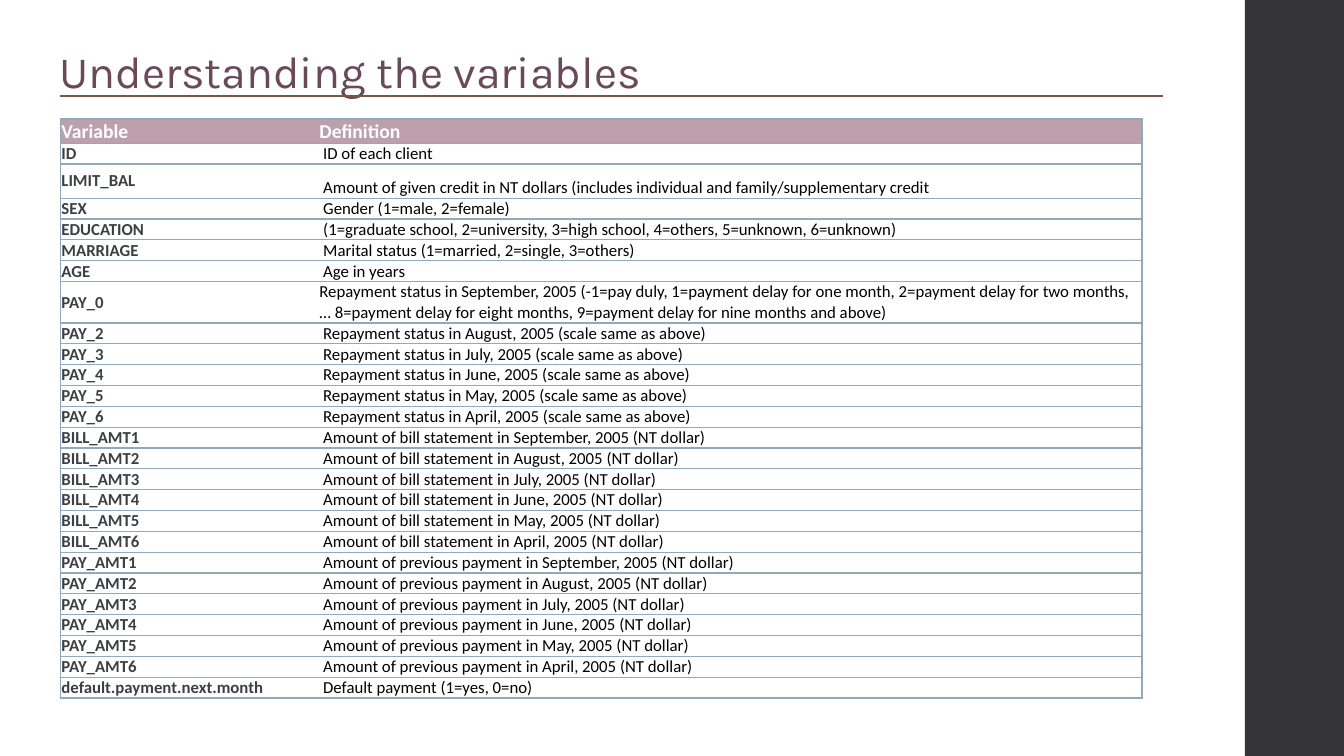
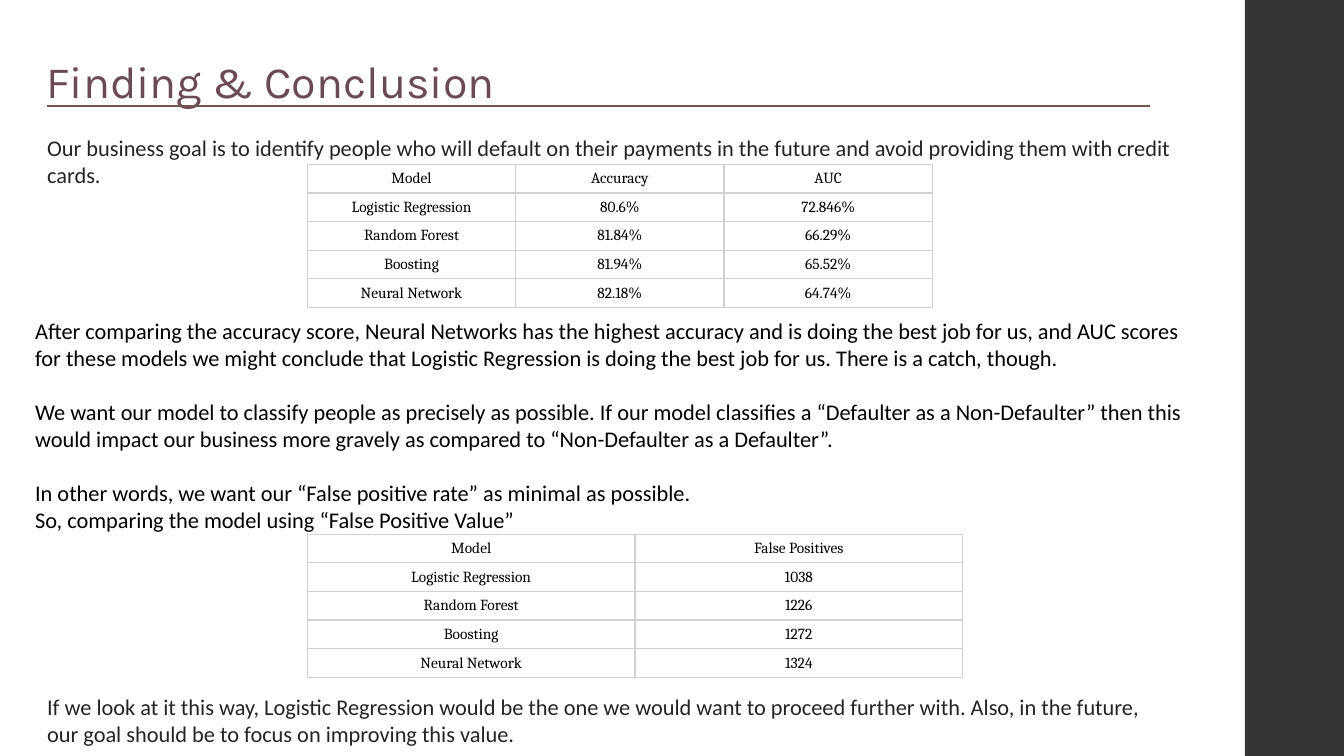
import pptx
import pptx.dml.color
import pptx.enum.shapes
import pptx.enum.text
import pptx.oxml
import pptx.oxml.ns
import pptx.util

Pt = pptx.util.Pt
ANCHOR = pptx.enum.text.MSO_ANCHOR
ALIGN = pptx.enum.text.PP_ALIGN

WHITE, BLACK = "FFFFFF", "000000"
BAND, TITLE, RULE = "353537", "6A4A57", "74564A"
HEADER_FILL, VARIABLE_BORDER, VARIABLE_NAME = "BCA0AB", "92A9B9", "3C4043"
SCORE_BORDER, BODY = "D1D1D1", "242424"
PLAIN_TABLE_STYLE = "{2D5ABB26-0587-4C30-8999-92F81FD0307C}"

MONTHS = ["September", "August", "July", "June", "May", "April"]
PAY_SCALE = (
    "Repayment status in September, 2005 (-1=pay duly, 1=payment delay for one month, "
    "2=payment delay for two months, … 8=payment delay for eight months, "
    "9=payment delay for nine months and above)"
)
VARIABLES = [
    ("Variable", "Definition"),
    ("ID", "ID of each client"),
    ("LIMIT_BAL", "Amount of given credit in NT dollars (includes individual and family/supplementary credit"),
    ("SEX", "Gender (1=male, 2=female)"),
    ("EDUCATION", "(1=graduate school, 2=university, 3=high school, 4=others, 5=unknown, 6=unknown)"),
    ("MARRIAGE", "Marital status (1=married, 2=single, 3=others)"),
    ("AGE", "Age in years"),
    ("PAY_0", PAY_SCALE),
    *[(f"PAY_{number}", f"Repayment status in {month}, 2005 (scale same as above)")
      for number, month in enumerate(MONTHS[1:], 2)],
    *[(f"BILL_AMT{number}", f"Amount of bill statement in {month}, 2005 (NT dollar)")
      for number, month in enumerate(MONTHS, 1)],
    *[(f"PAY_AMT{number}", f"Amount of previous payment in {month}, 2005 (NT dollar)")
      for number, month in enumerate(MONTHS, 1)],
    ("default.payment.next.month", "Default payment (1=yes, 0=no)"),
]
VARIABLE_ROW = 14.9
SPECIAL_ROWS = {"Variable": 16.8, "LIMIT_BAL": 24.4, "PAY_0": 29.6}

SCORES = [
    ("Model", "Accuracy", "AUC"),
    ("Logistic Regression", "80.6%", "72.846%"),
    ("Random Forest", "81.84%", "66.29%"),
    ("Boosting", "81.94%", "65.52%"),
    ("Neural Network", "82.18%", "64.74%"),
]
FALSE_POSITIVES = [
    ("Model", "False Positives"),
    ("Logistic Regression", "1038"),
    ("Random Forest", "1226"),
    ("Boosting", "1272"),
    ("Neural Network", "1324"),
]
GOAL = [
    ("Our business goal is to identify people who will default on their payments "
     "in the future and avoid providing them with credit cards.", 0),
]
COMPARISON = [
    ("After comparing the accuracy score, Neural Networks has the highest accuracy and is doing "
     "the best job for us, and AUC scores for these models we might conclude that Logistic "
     "Regression is doing the best job for us. There is a catch, though.", 19.5),
    ("We want our model to classify people as precisely as possible. If our model classifies a "
     "“Defaulter as a Non-Defaulter” then this would impact our business more gravely as "
     "compared to “Non-Defaulter as a Defaulter”.", 19.5),
    ("In other words, we want our “False positive rate” as minimal as possible.", 0),
    ("So, comparing the model using “False Positive Value”", 0),
]
CONCLUSION = [
    ("If we look at it this way, Logistic Regression would be the one we would want to proceed "
     "further with. Also, in the future, our goal should be to focus on improving this value.", 0),
]


def color(value):
    return pptx.dml.color.RGBColor.from_string(value)


def fill(target, value):
    target.fill.solid()
    target.fill.fore_color.rgb = color(value)


def style(para, size, font, value, bold=False):
    for span in para.runs:
        span.font.size = Pt(size)
        span.font.name = font
        span.font.color.rgb = color(value)
        span.font.bold = bold


def add_band(page):
    band = page.shapes.add_shape(
        pptx.enum.shapes.MSO_SHAPE.RECTANGLE, Pt(889.2), 0, Pt(70.8), Pt(540))
    fill(band, BAND)
    band.line.fill.background()
    band.shadow.inherit = False
    page.slide_layout.shapes.element.append(band.element)


def add_heading(page, text, left, rule_top):
    title = page.shapes.title
    title.left, title.top = Pt(left - 8), Pt(rule_top - 41)
    title.width, title.height = Pt(600), Pt(46)
    title.text_frame.text = text
    title.text_frame.word_wrap = True
    title.text_frame.auto_size = pptx.enum.text.MSO_AUTO_SIZE.NONE
    title.text_frame.vertical_anchor = ANCHOR.TOP
    para = title.text_frame.paragraphs[0]
    para.alignment = ALIGN.LEFT
    style(para, 32, "Karla", TITLE)

    rule = page.shapes.add_connector(
        pptx.enum.shapes.MSO_CONNECTOR.STRAIGHT,
        Pt(left), Pt(rule_top), Pt(left + 787.7), Pt(rule_top))
    rule.line.color.rgb = color(RULE)
    rule.line.width = Pt(1.5)
    properties = rule.element.find(pptx.oxml.ns.qn("p:spPr"))
    properties.append(pptx.oxml.parse_xml(f'<a:effectLst {pptx.oxml.ns.nsdecls("a")}/>'))


def add_text(page, paragraphs, left, top, width, height, value):
    box = page.shapes.add_textbox(Pt(left), Pt(top), Pt(width), Pt(height))
    frame = box.text_frame
    frame.word_wrap = True
    for index, (text, gap) in enumerate(paragraphs):
        para = frame.add_paragraph() if index else frame.paragraphs[0]
        para.text = text
        para.space_after = Pt(gap)
        style(para, 16, "Calibri", value)


def set_borders(cell, sides, value):
    properties = cell._tc.get_or_add_tcPr()
    for position, side in enumerate(sides):
        properties.insert(position, pptx.oxml.parse_xml(
            f'<a:ln{side} {pptx.oxml.ns.nsdecls("a")} w="{Pt(1)}"><a:solidFill>'
            f'<a:srgbClr val="{value}"/></a:solidFill></a:ln{side}>'))


def add_grid(page, rows, left, top, widths, heights):
    frame = page.shapes.add_table(
        len(rows), len(widths), Pt(left), Pt(top), Pt(sum(widths)), Pt(sum(heights)))
    for identifier in frame.element.iter(pptx.oxml.ns.qn("a:tableStyleId")):
        identifier.text = PLAIN_TABLE_STYLE
    table = frame.table
    for column, width in zip(table.columns, widths):
        column.width = Pt(width)
    for row, height, texts in zip(table.rows, heights, rows):
        row.height = Pt(height)
        for cell, text in zip(row.cells, texts):
            cell.text_frame.text = text
            cell.vertical_anchor = ANCHOR.MIDDLE
            fill(cell, WHITE)
    return table


def add_variable_table(page):
    heights = [SPECIAL_ROWS.get(name, VARIABLE_ROW) for name, _ in VARIABLES]
    table = add_grid(page, VARIABLES, 43.2, 85, [184.3, 588.3], heights)
    for row_index, row in enumerate(table.rows):
        header = row_index == 0
        for column_index, cell in enumerate(row.cells):
            definition = column_index == 1
            indented = definition and not header and cell.text != PAY_SCALE
            cell.margin_left = Pt(3.4 if indented else 0.7)
            cell.margin_right = Pt(0.7)
            cell.margin_top, cell.margin_bottom = Pt(0.25), 0
            if header or definition:
                cell.vertical_anchor = ANCHOR.BOTTOM
            if header:
                fill(cell, HEADER_FILL)
            value = WHITE if header else BLACK if definition else VARIABLE_NAME
            style(cell.text_frame.paragraphs[0], 14 if header else 12, "Calibri", value,
                  header or not definition)
            set_borders(cell, "RTB" if definition else "LTB", VARIABLE_BORDER)


def add_score_table(page, rows, top, column_width):
    widths = [column_width] * len(rows[0])
    table = add_grid(page, rows, 219.6, top, widths, [20.4] * len(rows))
    for cell in table.iter_cells():
        para = cell.text_frame.paragraphs[0]
        para.alignment = ALIGN.CENTER
        style(para, 11, "Cambria", BLACK)
        set_borders(cell, "LRTB", SCORE_BORDER)


def main():
    deck = pptx.Presentation()
    deck.slide_width, deck.slide_height = Pt(960), Pt(540)
    layout = deck.slide_layouts.get_by_name("Title Only")

    page = deck.slides.add_slide(layout)
    add_band(page)
    add_heading(page, "Understanding the variables", 43.2, 68.4)
    add_variable_table(page)

    page = deck.slides.add_slide(layout)
    add_heading(page, "Finding & Conclusion", 33.8, 75.6)
    add_text(page, GOAL, 26.6, 92.2, 855.4, 68, BODY)
    add_score_table(page, SCORES, 117.4, 148.8)
    add_text(page, COMPARISON, 18, 223.2, 850.3, 165, BLACK)
    add_score_table(page, FALSE_POSITIVES, 381.6, 234)
    add_text(page, CONCLUSION, 26.6, 491.8, 800.6, 46, BODY)

    deck.save("out.pptx")


if __name__ == "__main__":
    main()
